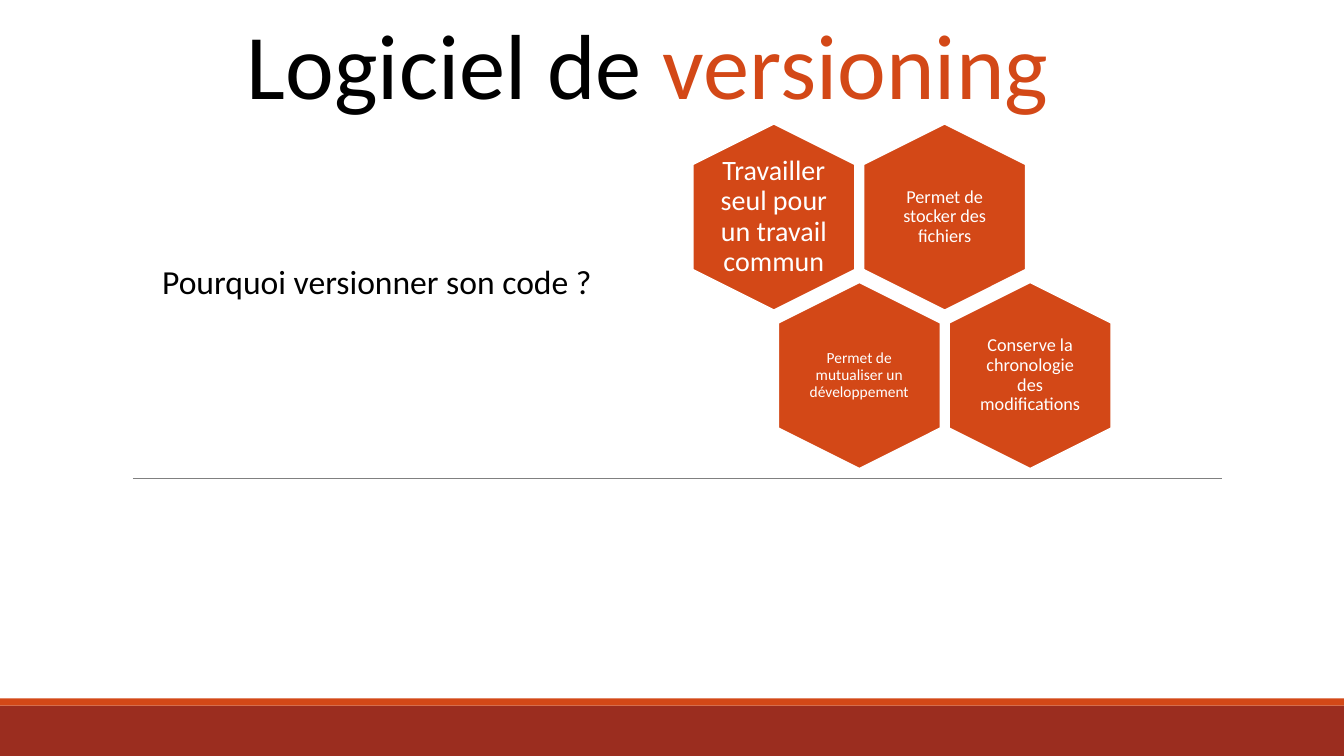
"""Build the slide on why code should be versioned."""
from pptx import Presentation
from pptx.dml.color import RGBColor
from pptx.enum.shapes import MSO_CONNECTOR, MSO_SHAPE
from pptx.enum.text import MSO_ANCHOR as Anchor, PP_ALIGN as Align
from pptx.oxml.ns import qn
from pptx.util import Pt
from lxml.etree import SubElement

BLACK = RGBColor(0x00, 0x00, 0x00)
WHITE = RGBColor(0xFF, 0xFF, 0xFF)
GREY = RGBColor(0x80, 0x80, 0x80)
ORANGE = RGBColor(0xD3, 0x48, 0x17)
BRICK = RGBColor(0x9B, 0x2D, 0x1F)


def add_filled(preset, left, top, width, height, color):
    part = slide.shapes.add_shape(preset, Pt(left), Pt(top), Pt(width), Pt(height))
    part.shadow.inherit = False
    part.fill.solid()
    part.fill.fore_color.rgb = color
    part.line.fill.background()
    return part


def add_text(left, top, width, height, pieces, size, align, frame_format):
    frame = slide.shapes.add_textbox(Pt(left), Pt(top), Pt(width), Pt(height)).text_frame
    for name, value in frame_format.items():
        setattr(frame, name, value)
    paragraph = frame.paragraphs[0]
    paragraph.alignment = align
    for words, color in pieces:
        run = paragraph.add_run()
        run.text = words
        run.font.name = "Calibri"
        run.font.size = Pt(size)
        run.font.color.rgb = color
    return paragraph


deck = Presentation()
deck.slide_width, deck.slide_height = Pt(960), Pt(540)
slide = deck.slides.add_slide(deck.slide_layouts[6])

add_filled(MSO_SHAPE.RECTANGLE, 0, 504, 960, 36, BRICK)
add_filled(MSO_SHAPE.RECTANGLE, 0, 498.76, 960, 5.24, ORANGE)

divider = slide.shapes.add_connector(MSO_CONNECTOR.STRAIGHT, Pt(95), Pt(342), Pt(872.6), Pt(342))
divider.line.color.rgb = GREY
divider.line.width = Pt(0.5)
SubElement(divider._element.spPr, qn("a:effectLst"))

add_text(166.3, 1.4, 592.6, 87.1, [("Logiciel de ", BLACK), ("versioning", ORANGE)],
         66, Align.CENTER, {"word_wrap": False})

HEX_LENGTH, HEX_BREADTH = 133.2, 115.9
LABEL_WIDTH, LABEL_HEIGHT = 80, 91.4
FIRST_X, FIRST_Y = 552.8, 155
COLUMN_STEP, ROW_STEP = 122, 113.2
reasons = [
    (0, 1, "Permet de stocker des fichiers", 13, 3.6),
    (0, 0, "Travailler seul pour un travail commun", 20, 0),
    (1, 1, "Conserve la chronologie des modifications", 13, 3.6),
    (1, 0, "Permet de mutualiser un développement", 11, 0),
]
for row, column, reason, size, inset in reasons:
    center_x = FIRST_X + (column + row / 2) * COLUMN_STEP
    center_y = FIRST_Y + row * ROW_STEP
    hexagon = add_filled(MSO_SHAPE.HEXAGON, center_x - HEX_LENGTH / 2, center_y - HEX_BREADTH / 2,
                         HEX_LENGTH, HEX_BREADTH, ORANGE)
    hexagon.rotation = 90
    hexagon.adjustments[0] = 0.25
    hexagon.adjustments[1] = 1.1547
    hexagon.line.color.rgb = WHITE
    hexagon.line.width = Pt(1.25)
    margins = {f"margin_{side}": Pt(inset) for side in ("left", "top", "right", "bottom")}
    label = add_text(center_x - LABEL_WIDTH / 2, center_y - LABEL_HEIGHT / 2, LABEL_WIDTH, LABEL_HEIGHT,
                     [(reason, WHITE)], size, Align.CENTER,
                     {"word_wrap": True, "vertical_anchor": Anchor.MIDDLE, **margins})
    label.line_spacing = 0.9

add_text(108.7, 182.9, 353.5, 36, [("Pourquoi versionner son code ?", BLACK)],
         24, Align.LEFT, {"word_wrap": True})

deck.save("out.pptx")
